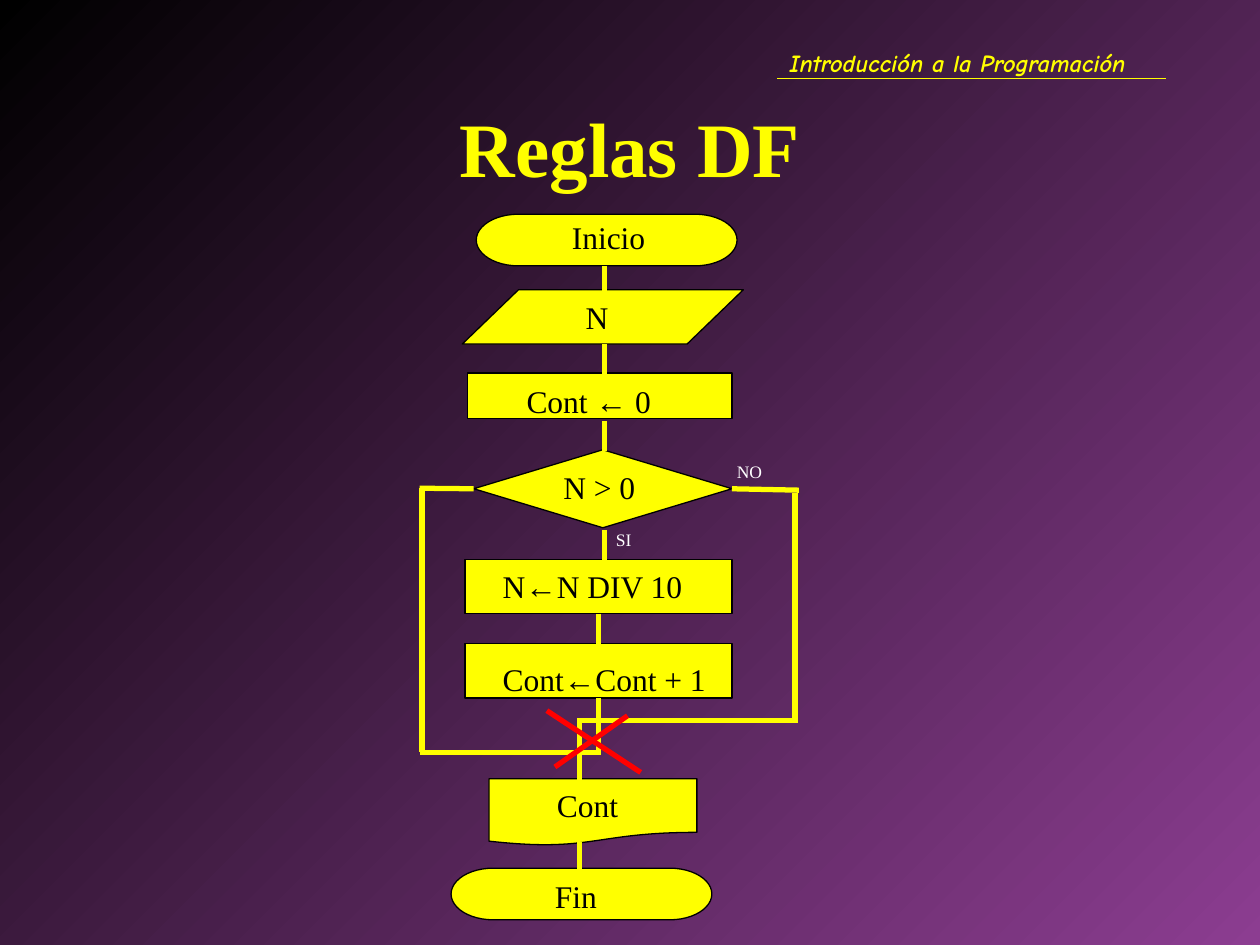
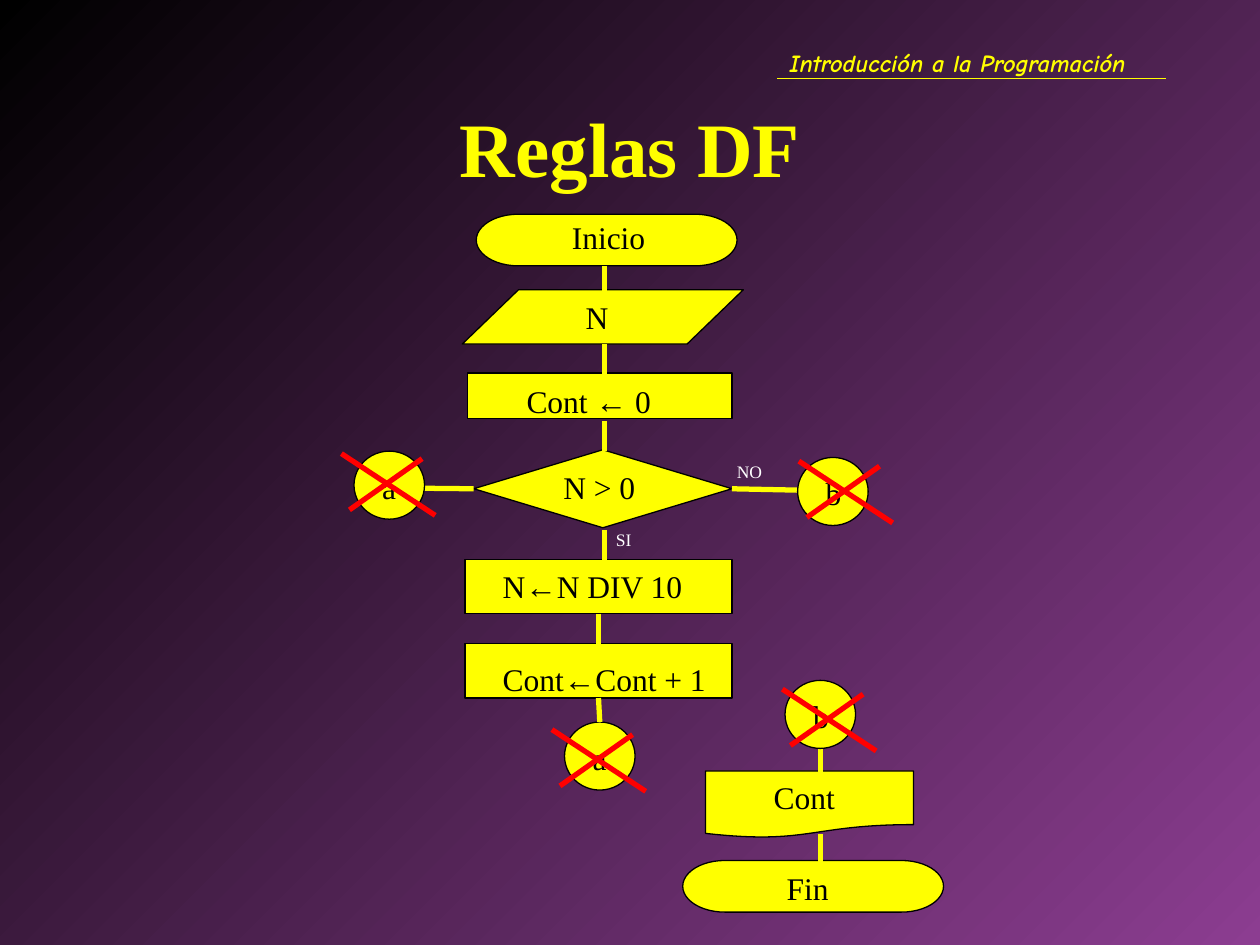
from lxml.etree import SubElement
from pptx import Presentation
from pptx.dml.color import RGBColor
from pptx.enum.shapes import MSO_CONNECTOR, MSO_SHAPE
from pptx.enum.text import MSO_ANCHOR, MSO_AUTO_SIZE, PP_ALIGN
from pptx.oxml.ns import qn
from pptx.util import Pt

YELLOW, BLACK, WHITE, RED = "FFFF00", "000000", "FFFFFF", "FF0000"
PURPLE = "8C3D91"
SERIF, HEADER_FONT, ARROW_FONT = "Times New Roman", "Comic Neue", "Arial"
TOP, LEFT, BOTTOM, RIGHT = range(4)
FLOW_X = 345.6  # axis of the main column of steps


def color(hex_string):
    return RGBColor.from_string(hex_string)


def format_font(paragraph, size, hex_string, name=SERIF, bold=False, italic=False):
    font = paragraph.font
    font.name, font.size = name, Pt(size)
    font.bold, font.italic = bold, italic
    font.color.rgb = color(hex_string)


def add_label(slide, text, left, top, width, height, size=18, hex_string=BLACK, **style):
    """Add a text box; arrows in the text get their own font."""
    box = slide.shapes.add_textbox(Pt(left), Pt(top), Pt(width), Pt(height))
    box.text_frame.word_wrap = True
    paragraph = box.text_frame.paragraphs[0]
    format_font(paragraph, size, hex_string, **style)
    for part in filter(None, text.partition("←")):
        run = paragraph.add_run()
        run.text = part
        if part == "←":
            run.font.name = ARROW_FONT
    return box


def add_line(slide, x1, y1, x2, y2, hex_string=YELLOW, width=3):
    connector = slide.shapes.add_connector(
        MSO_CONNECTOR.STRAIGHT, Pt(x1), Pt(y1), Pt(x2), Pt(y2))
    connector.line.color.rgb = color(hex_string)
    connector.line.width = Pt(width)
    SubElement(connector.element.spPr, qn("a:effectLst"))
    return connector


def add_step(slide, kind, text, left, top, width, height, indent, drop):
    """Add a flowchart symbol with its label set in by indent and drop."""
    shape = slide.shapes.add_shape(kind, Pt(left), Pt(top), Pt(width), Pt(height))
    shape.shadow.inherit = False
    shape.fill.solid()
    shape.fill.fore_color.rgb = color(YELLOW)
    shape.line.color.rgb = color(BLACK)
    shape.line.width = Pt(0.75)
    add_label(slide, text, left + indent, top + drop, width - indent, 28.8)
    return shape


def add_terminator(slide, text, left, top, indent, drop):
    return add_step(slide, MSO_SHAPE.FLOWCHART_TERMINATOR, text,
                    left, top, 149, 29.5, indent, drop)


def add_process(slide, text, top, drop):
    return add_step(slide, MSO_SHAPE.FLOWCHART_PROCESS, text,
                    265.7, top, 152.6, 31, 14.4, drop)


def add_page_connector(slide, letter, left, top):
    return add_step(slide, MSO_SHAPE.OVAL, letter, left, top, 40.3, 38.9, 9, 5.9)


def add_cross(slide, left, top):
    add_line(slide, left, top, left + 53.6, top + 35.3, RED)
    add_line(slide, left + 46.1, top + 2.9, left + 4.6, top + 32.2, RED)


def add_counting_loop(slide):
    """Draw the steps from Inicio to the counter; return the counter step."""
    add_terminator(slide, "Inicio", 272.2, 122.4, 47.5, -1.4)
    add_step(slide, MSO_SHAPE.FLOWCHART_DATA, "N", 264.2, 165.6, 160.6, 31, 63.4, 1.4)
    add_step(slide, MSO_SHAPE.RECTANGLE, "Cont ← 0", 267.1, 213.1, 151.2, 25.9, 26.7, 1.5)
    decision = add_step(slide, MSO_SHAPE.FLOWCHART_DECISION, "N > 0",
                        270.7, 257, 147.6, 44.6, 44.1, 7.2)
    division = add_process(slide, "N←N DIV 10", 319.7, 0.7)
    counter = add_process(slide, "Cont←Cont + 1", 367.9, 5.8)

    for top in (151.9, 196.6, 240.5, 303.1):
        add_line(slide, FLOW_X, top, FLOW_X, top + 17)
    link = add_line(slide, 342, 350.7, 342, 367.9)
    link.begin_connect(division, BOTTOM)
    link.end_connect(counter, TOP)
    for side, x, y in ((LEFT, 239.8, 279), (RIGHT, 456.5, 280.1)):
        branch = add_line(slide, x, y, x, y)
        branch.end_connect(decision, side)

    add_label(slide, "SI", 344.9, 298.8, 33.8, 19.4, 10, WHITE)
    add_label(slide, "NO", 414, 259.9, 33.8, 19.4, 10, WHITE)
    return counter


def add_ending(slide, left, top, fin_left, axis, line_top):
    """Draw the output document and Fin, with the lines on the given axis."""
    add_step(slide, MSO_SHAPE.FLOWCHART_DOCUMENT, "Cont",
             left, top, 118.8, 38.2, 31.8, 0.7)
    add_terminator(slide, "Fin", fin_left, top + 51.1, 52.2, 1.4)
    add_line(slide, axis, line_top, axis, top + 1.5)
    add_line(slide, axis, top + 36, axis, top + 53)


def style_layout(presentation, layout):
    fill = presentation.slide_master.background.fill
    fill.gradient()
    fill.gradient_angle = 315
    for stop, hex_string in zip(fill.gradient_stops, (BLACK, PURPLE)):
        stop.color.rgb = color(hex_string)
    for placeholder in list(layout.placeholders):
        if placeholder.placeholder_format.idx:
            layout.shapes.element.remove(placeholder.element)


def move_header_to_layout(slide):
    """Build the course header and hand it to the layout all slides share."""
    header = add_label(slide, "Introducción a la Programación", 444.2, 23.8, 234, 24.5,
                       14, YELLOW, name=HEADER_FONT, bold=True, italic=True)
    rule = add_line(slide, 444.2, 45, 666, 45, YELLOW, 0.75)
    for shape in (header, rule):
        slide.slide_layout.shapes.element.append(shape.element)


def add_titled_slide(presentation, layout):
    slide = presentation.slides.add_slide(layout)
    title = slide.shapes.title
    title.left, title.top, title.width, title.height = Pt(54), Pt(48.2), Pt(612), Pt(71.3)
    frame = title.text_frame
    frame.text = "Reglas DF"
    frame.auto_size = MSO_AUTO_SIZE.NONE
    frame.vertical_anchor = MSO_ANCHOR.MIDDLE
    paragraph = frame.paragraphs[0]
    paragraph.alignment = PP_ALIGN.CENTER
    format_font(paragraph, 44, YELLOW, bold=True)
    return slide


def draw_crossing_lines(slide):
    counter = add_counting_loop(slide)
    add_ending(slide, 279.4, 445, 257.8, 331.2, 411.1)
    # way out on the right
    add_line(slide, 454.3, 281.5, 454.3, 413.3)
    add_line(slide, 329.8, 411.8, 455.8, 411.8)
    # way back on the left
    add_line(slide, 241.2, 278.6, 241.2, 429.8)
    add_line(slide, 239.8, 429.8, 343.5, 429.8)
    link = add_line(slide, 342, 398.9, 342, 428.4)
    link.begin_connect(counter, BOTTOM)
    add_cross(slide, 312.5, 406.1)


def draw_page_connectors(slide):
    counter = add_counting_loop(slide)
    add_ending(slide, 403.2, 440.6, 390.2, 468.7, 425.5)
    back = add_page_connector(slide, "a", 322.6, 412.6)
    add_page_connector(slide, "a", 202.3, 257.8)
    add_page_connector(slide, "b", 455.8, 261.4)
    add_page_connector(slide, "b", 448.6, 388.8)
    link = add_line(slide, 342, 398.9, 342, 412.6)
    link.begin_connect(counter, BOTTOM)
    link.end_connect(back, TOP)
    for left, top in ((447.1, 393.8), (195.1, 259.2), (315.4, 416.9), (456.5, 263.5)):
        add_cross(slide, left, top)


def main():
    presentation = Presentation()
    presentation.slide_width, presentation.slide_height = Pt(720), Pt(540)
    layout = presentation.slide_layouts.get_by_name("Title Only")
    style_layout(presentation, layout)
    first = add_titled_slide(presentation, layout)
    move_header_to_layout(first)
    draw_crossing_lines(first)
    draw_page_connectors(add_titled_slide(presentation, layout))
    presentation.save("out.pptx")


if __name__ == "__main__":
    main()
